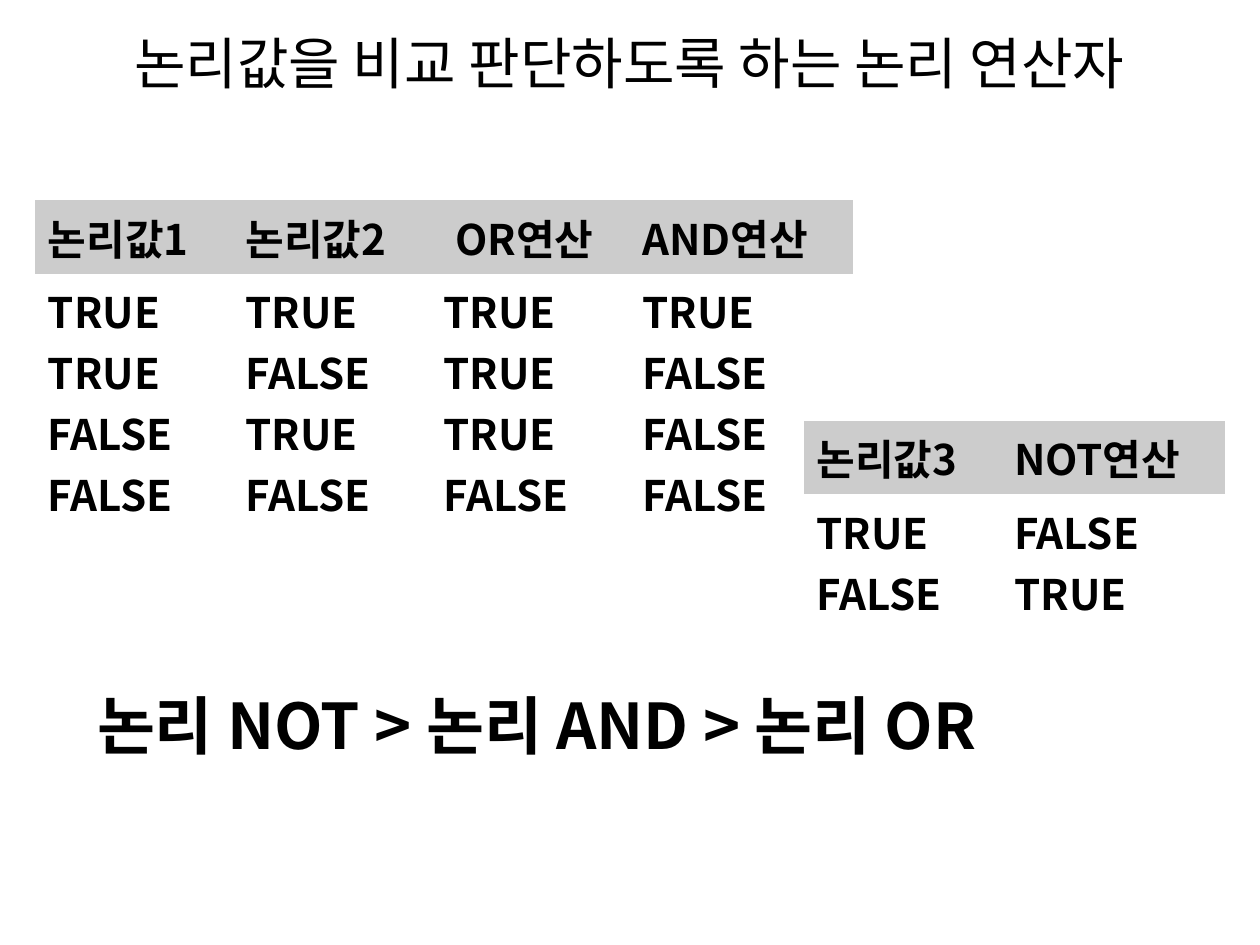
from pptx import Presentation
from pptx.dml.color import RGBColor
from pptx.enum.text import MSO_ANCHOR as Anchor, PP_ALIGN as Align
from pptx.oxml.ns import qn
from pptx.util import Inches, Pt
from lxml.etree import SubElement

BLACK = RGBColor(0x00, 0x00, 0x00)
GRAY = RGBColor(0xCC, 0xCC, 0xCC)
KOREAN = "Noto Sans CJK KR"
LATIN = "Arial"
NO_STYLE = "{2D5ABB26-0587-4C30-8999-92F81FD0307C}"


def write(tf, paragraphs, size=24, bold=True, align=Align.JUSTIFY):
    """Fill a text frame; a paragraph is a string or a list of (text, font) runs."""
    for i, runs in enumerate(paragraphs):
        p = tf.add_paragraph() if i else tf.paragraphs[0]
        p.alignment = align
        if isinstance(runs, str):
            runs = [(runs, KOREAN)]
        for text, name in runs:
            r = p.add_run()
            r.text = text
            r.font.name = name
            r.font.size = Pt(size)
            r.font.bold = bold
            r.font.color.rgb = BLACK
            SubElement(r.font._element, qn("a:ea"), typeface=name)


class Deck:
    """Hold the presentation, its style and the current slide."""

    def __init__(self, width, height):
        self.prs = Presentation()
        self.prs.slide_width = Inches(width)
        self.prs.slide_height = Inches(height)
        self.s = self.prs.slides.add_slide(self.prs.slide_layouts[5])

    def title(self, text, left, top, width, height):
        """Place and format the title."""
        sp = self.s.shapes.title
        sp.left, sp.top = Inches(left), Inches(top)
        sp.width, sp.height = Inches(width), Inches(height)
        sp.text_frame.vertical_anchor = Anchor.MIDDLE
        write(sp.text_frame, [text], size=32, bold=False, align=Align.CENTER)

    def table(self, rows, left, top, widths, heights, header=True, size=24):
        """Add a borderless table whose cells are lists of paragraphs."""
        frame = self.s.shapes.add_table(
            len(rows), len(widths), Inches(left), Inches(top),
            Inches(sum(widths)), Inches(sum(heights)))
        table = frame.table
        table.first_row = table.horz_banding = False
        table._tbl.tblPr.find(qn("a:tableStyleId")).text = NO_STYLE
        for column, width in zip(table.columns, widths):
            column.width = Inches(width)
        for i, (row, height) in enumerate(zip(rows, heights)):
            table.rows[i].height = Inches(height)
            for j, paragraphs in enumerate(row):
                cell = table.cell(i, j)
                cell.vertical_anchor = Anchor.MIDDLE
                if header and i == 0:
                    cell.fill.solid()
                    cell.fill.fore_color.rgb = GRAY
                else:
                    cell.fill.background()
                write(cell.text_frame, paragraphs, size=size)


def main():
    """Build the slide on logical operators."""
    deck = Deck(10, 7.5)
    deck.title("논리값을 비교 판단하도록 하는 논리 연산자", 0, 0, 10, 0.99)
    deck.table(
        [[["논리값1"], ["논리값2"], [[(" ", LATIN), ("OR연산", KOREAN)]], ["AND연산"]],
         [["TRUE ", "TRUE ", "FALSE", "FALSE"],
          ["TRUE", "FALSE", "TRUE", "FALSE"],
          ["TRUE", "TRUE", "TRUE", "FALSE"],
          ["TRUE", "FALSE", "FALSE", "FALSE"]]],
        0.28, 1.59, [1.57, 1.57, 1.58, 1.77], [0.58, 2.03])
    deck.table(
        [[["논리값3"], ["NOT연산"]],
         [["TRUE", "FALSE"], ["FALSE", "TRUE"]]],
        6.38, 3.34, [1.57, 1.77], [0.58, 1.07])
    deck.table([[["논리 NOT > 논리 AND > 논리 OR "]]],
               0.67, 5.32, [8.27], [0.7], header=False, size=36)
    deck.prs.save("out.pptx")


if __name__ == "__main__":
    main()
